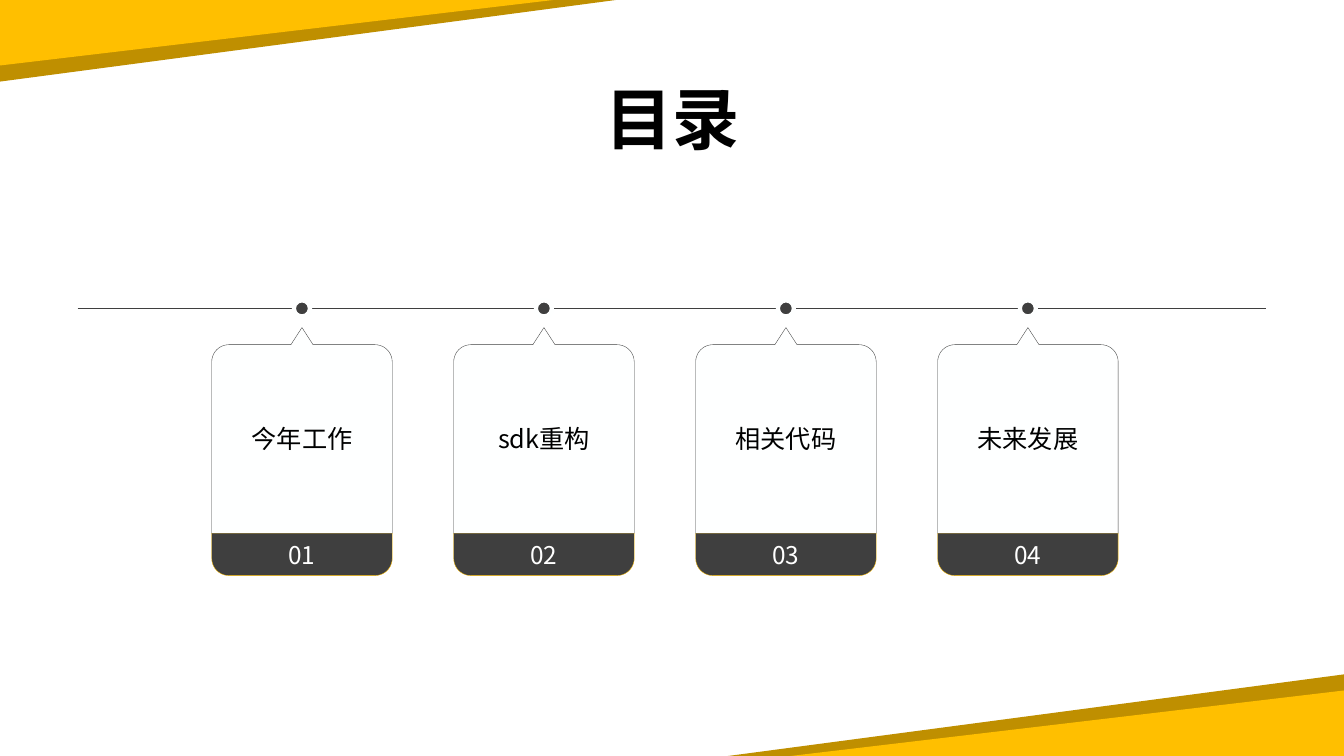
import math

from lxml import etree
from pptx import Presentation
from pptx.dml.color import RGBColor
from pptx.enum import shapes, text
from pptx.oxml.ns import qn
from pptx.util import Inches, Pt

FONT = "Noto Sans CJK SC"
GOLD = RGBColor(0xFF, 0xBF, 0x00)
DARK_GOLD = RGBColor(0xBF, 0x8F, 0x00)
CHARCOAL = RGBColor(0x3F, 0x3F, 0x3F)
CARD_WHITE = RGBColor(0xFE, 0xFF, 0xFF)
WHITE = RGBColor(0xFF, 0xFF, 0xFF)
BLACK = RGBColor(0x00, 0x00, 0x00)

TOPICS = ["今年工作", "sdk重构", "相关代码", "未来发展"]
SLIDE_W, SLIDE_H = 13.33, 7.5
CARD_W, CARD_STEP, FIRST_CARD = 1.79, 2.4, 2.1
TIP_Y, CARD_TOP, BAND_TOP, BAND_BOTTOM = 3.25, 3.42, 5.29, 5.71
TIMELINE_Y, DOT, RADIUS, NOTCH = 3.06, 0.16, 0.17, 0.11


def corner(x, y, start):
    """Points of a quarter circle around (x, y), clockwise from start degrees."""
    angles = [math.radians(start + 9 * i) for i in range(11)]
    return [(x + RADIUS * math.cos(a), y + RADIUS * math.sin(a)) for a in angles]


def write(shape, words, size, color, bold=False):
    frame = shape.text_frame
    frame.word_wrap = True
    frame.vertical_anchor = text.MSO_ANCHOR.MIDDLE
    paragraph = frame.paragraphs[0]
    paragraph.alignment = text.PP_ALIGN.CENTER
    run = paragraph.add_run()
    run.text = words
    run.font.size = Pt(size)
    run.font.bold = bold
    run.font.color.rgb = color
    run.font.name = FONT
    east_asian = etree.SubElement(run.font._element, qn("a:ea"))
    east_asian.set("typeface", FONT)


prs = Presentation()
prs.slide_width = Inches(SLIDE_W)
prs.slide_height = Inches(SLIDE_H)
slide = prs.slides.add_slide(prs.slide_layouts[6])

# Corner wedges
for flip in ("flipH", "flipV"):
    for width, height, color in [(6.11, 0.81, DARK_GOLD), (5.49, 0.65, GOLD)]:
        left, top = (0, 0) if flip == "flipV" else (SLIDE_W - width, SLIDE_H - height)
        wedge = slide.shapes.add_shape(
            shapes.MSO_SHAPE.RIGHT_TRIANGLE,
            Inches(left), Inches(top), Inches(width), Inches(height))
        wedge._element.spPr.xfrm.set(flip, "1")
        wedge.shadow.inherit = False
        wedge.fill.solid()
        wedge.fill.fore_color.rgb = color
        wedge.line.fill.background()

# Timeline
timeline = slide.shapes.add_connector(
    shapes.MSO_CONNECTOR.STRAIGHT,
    Inches(0.77), Inches(TIMELINE_Y), Inches(12.56), Inches(TIMELINE_Y))
timeline.line.color.rgb = CHARCOAL
timeline.line.width = Pt(0.5)
etree.SubElement(timeline._element.spPr, qn("a:effectLst"))

# Topic cards
for number, topic in enumerate(TOPICS, start=1):
    left = FIRST_CARD + (number - 1) * CARD_STEP
    right = left + CARD_W
    middle = left + CARD_W / 2

    band_outline = [
        (left, BAND_TOP), (right, BAND_TOP),
        *corner(right - RADIUS, BAND_BOTTOM - RADIUS, 0),
        *corner(left + RADIUS, BAND_BOTTOM - RADIUS, 90)]
    card_outline = [
        (middle, TIP_Y), (middle + NOTCH, CARD_TOP),
        *corner(right - RADIUS, CARD_TOP + RADIUS, -90),
        (right, BAND_TOP), (left, BAND_TOP),
        *corner(left + RADIUS, CARD_TOP + RADIUS, 180),
        (middle - NOTCH, CARD_TOP)]

    parts = []
    for outline, fill, edge in [(band_outline, CHARCOAL, GOLD),
                                (card_outline, CARD_WHITE, CHARCOAL)]:
        points = [(Inches(x), Inches(y)) for x, y in outline]
        builder = slide.shapes.build_freeform(*points[0])
        builder.add_line_segments(points[1:], close=True)
        part = builder.convert_to_shape()
        part.shadow.inherit = False
        part.fill.solid()
        part.fill.fore_color.rgb = fill
        part.line.color.rgb = edge
        part.line.width = Pt(0.25)
        parts.append(part)

    band, card = parts
    write(band, f"{number:02d}", 17.4, WHITE)
    write(card, topic, 18, BLACK)
    card.text_frame.margin_top = Inches(0.2)

    dot = slide.shapes.add_shape(
        shapes.MSO_SHAPE.OVAL, Inches(middle - DOT / 2),
        Inches(TIMELINE_Y - DOT / 2), Inches(DOT), Inches(DOT))
    dot.shadow.inherit = False
    dot.fill.solid()
    dot.fill.fore_color.rgb = CHARCOAL
    dot.line.color.rgb = CARD_WHITE
    dot.line.width = Pt(3)

title = slide.shapes.add_textbox(Inches(0.92), Inches(0.66), Inches(11.5), Inches(1.11))
write(title, "目录", 48, BLACK, bold=True)
title.text_frame.paragraphs[0].line_spacing = 0.9

prs.save("out.pptx")
